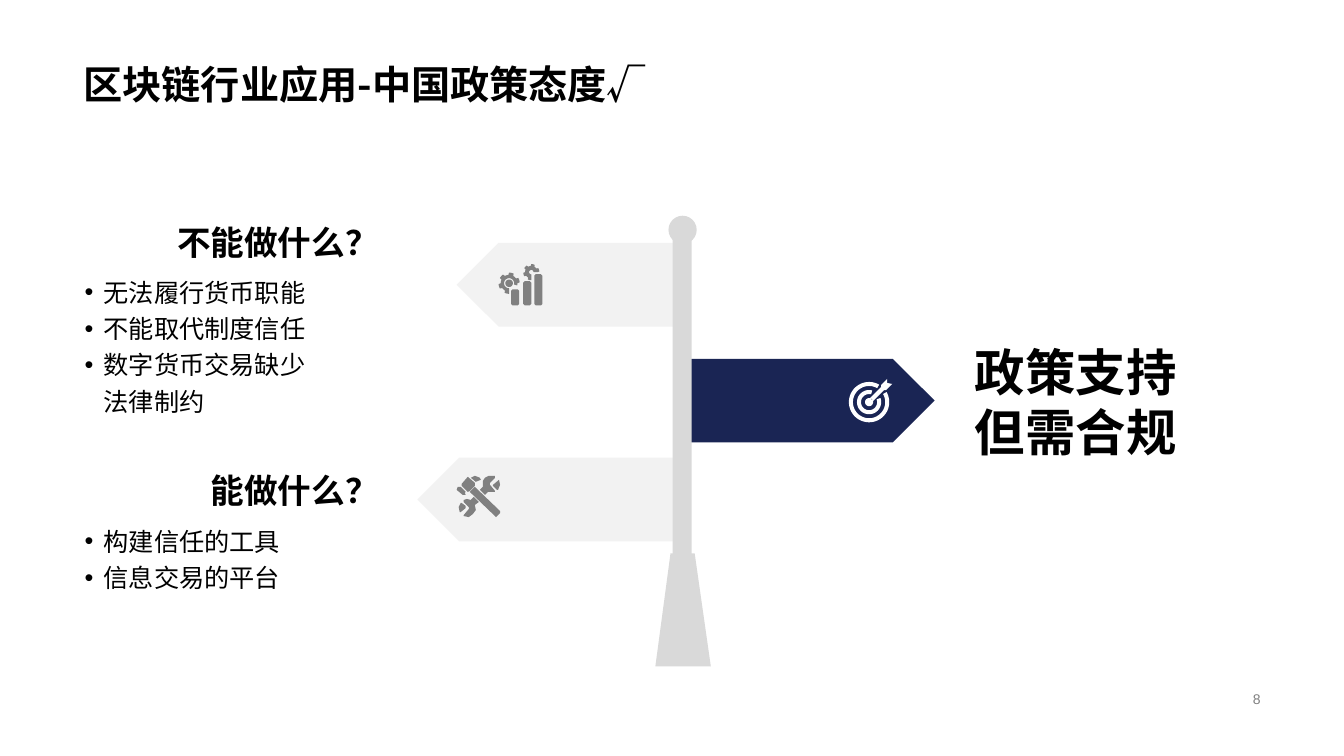
from dataclasses import dataclass
from math import cos, radians, sin
from typing import NamedTuple

from lxml.etree import SubElement
from pptx import Presentation
from pptx.dml.color import RGBColor
from pptx.enum.lang import MSO_LANGUAGE_ID as Language
from pptx.enum.shapes import MSO_SHAPE as Preset
from pptx.enum.text import MSO_ANCHOR as Anchor, PP_ALIGN as Align
from pptx.oxml.ns import qn
from pptx.util import Inches, Pt

CELL = Inches(0.1)
COLUMNS, ROWS = 133.3, 75
BLACK, GRAY, WHITE = "000000", "808080", "FFFFFF"
PALE, POST, NAVY = "F2F2F2", "D9D9D9", "1A2554"
LATIN, CHINESE = "Arial", "Noto Sans CJK SC"
Contour = list[tuple[float, float]]


class Area(NamedTuple):
    column: float
    row: float
    width: float
    height: float


class Span(NamedTuple):
    text: str
    font: str = LATIN


@dataclass
class Block:
    preset: Preset
    area: Area
    color: str
    flipped: bool = False


@dataclass
class Outline:
    contours: list[Contour]
    color: str


@dataclass
class Words:
    area: Area
    paragraphs: list[list[Span]]
    size: int
    color: str = BLACK
    bold: bool = False
    align: Align = Align.LEFT
    anchor: Anchor = Anchor.BOTTOM
    spacing: float = 1.0
    bulleted: bool = False


def cells(count: float) -> int:
    return round(count * CELL)


def paint(shape, color: str) -> None:
    shape.shadow.inherit = False
    shape.fill.solid()
    shape.fill.fore_color.rgb = RGBColor.from_string(color)
    shape.line.fill.background()


def draw_block(page, block: Block) -> None:
    shape = page.shapes.add_shape(block.preset, *map(cells, block.area))
    paint(shape, block.color)
    if block.flipped:
        shape._element.spPr.find(qn("a:xfrm")).set("flipH", "1")


def draw_outline(page, outline: Outline) -> None:
    contours = [[(cells(x), cells(y)) for x, y in contour] for contour in outline.contours]
    builder = page.shapes.build_freeform(*contours[0][0])
    for contour in contours:
        builder.move_to(*contour[0])
        builder.add_line_segments(contour[1:], close=True)
    paint(builder.convert_to_shape(), outline.color)


def add_bullet(para) -> None:
    properties = para._p.get_or_add_pPr()
    properties.set("marL", str(Inches(0.19)))
    properties.set("indent", str(-Inches(0.19)))
    SubElement(properties, qn("a:buFont")).set("typeface", LATIN)
    SubElement(properties, qn("a:buChar")).set("char", "•")


def draw_words(page, words: Words) -> None:
    box = page.shapes.add_textbox(*map(cells, words.area))
    frame = box.text_frame
    frame.word_wrap = True
    frame.vertical_anchor = words.anchor
    for index, spans in enumerate(words.paragraphs):
        para = frame.add_paragraph() if index else frame.paragraphs[0]
        para.alignment = words.align
        para.line_spacing = words.spacing
        if words.bulleted:
            add_bullet(para)
        para.font.size = Pt(words.size)
        para.font.bold = words.bold
        para.font.color.rgb = RGBColor.from_string(words.color)
        para.font.language_id = Language.SIMPLIFIED_CHINESE
        if len(spans) == 1:
            para.font.name = spans[0].font
        for span in spans:
            run = para.add_run()
            run.text = span.text
            if len(spans) > 1:
                run.font.name = span.font
            if span.font == CHINESE:
                SubElement(run._r.get_or_add_rPr(), qn("a:ea")).set("typeface", CHINESE)


def arc(x: float, y: float, radius: float, start: int, end: int, tooth: float = 0) -> Contour:
    points = []
    for angle in range(start, end + 1, 5):
        reach = radius - (tooth if angle % 60 < 30 else 0)
        points.append((x + reach * cos(radians(angle)), y + reach * sin(radians(angle))))
    return points


def ring(x: float, y: float, outer: float, inner: float, start: int, end: int,
         tooth: float = 0) -> Contour:
    return arc(x, y, outer, start, end, tooth) + arc(x, y, inner, start, end)[::-1]


def bar(column: float, top: float, width: float = 0.8, bottom: float = 30.3) -> Contour:
    right, cut = column + width, 0.15
    return [(column + cut, top), (right - cut, top), (right, top + cut), (right, bottom - cut),
            (right - cut, bottom), (column + cut, bottom), (column, bottom - cut),
            (column, top + cut)]


TOOLS = [
    [(45.8, 49.9), (46.2, 50.2), (46.2, 50.4), (45.7, 50.8), (45.6, 50.8), (45.5, 50.3),
     (45.7, 49.9)],
    [(47, 49.3), (47.5, 49.8), (47.1, 50.1), (47.2, 50.6), (46.9, 51), (46.5, 51.3), (46, 51.2),
     (46, 51.1), (46.5, 50.5), (46.5, 50.3), (46, 49.8), (46, 49.6), (46.3, 49.5), (46.7, 49.6)],
    [(47.1, 48.3), (49.6, 50.7), (49.6, 50.9), (49.2, 51.3), (49.1, 51.2), (46.6, 48.8)],
    [(45.7, 48.3), (46.2, 48.8), (46.1, 48.9), (46.2, 49.1), (45.9, 49.1), (45.3, 48.6),
     (45.4, 48.3)],
    [(49.5, 47.6), (49.6, 48.1), (49.4, 48.6), (49.3, 48.6), (48.9, 48.2), (48.9, 48.1)],
    [(46.4, 47.3), (47.1, 47.9), (47.1, 48.2), (46.6, 48.7), (46.4, 48.8), (45.8, 48.2),
     (45.8, 48)],
    [(47.1, 47.2), (47.6, 47.4), (47.7, 47.6), (47.2, 47.8), (46.7, 47.4)],
    [(48.9, 47.2), (49.1, 47.2), (49.1, 47.4), (48.6, 47.9), (48.6, 48.1), (49.1, 48.7),
     (49.1, 48.8), (48.4, 48.8), (48.1, 49.1), (47.6, 48.6), (47.9, 48.3), (47.9, 47.7),
     (48.1, 47.4), (48.5, 47.2)],
]
GEARS_AND_BARS = [
    ring(50.5, 28.1, 1.05, 0.5, 90, 375, 0.22), arc(50.5, 28.1, 0.37, 0, 355),
    ring(52.7, 27, 0.8, 0.22, 90, 360, 0.18),
    bar(50.7, 28.7), bar(51.9, 27.9), bar(53, 27.2),
]
DART = [(88, 37.6), (88, 38), (88.5, 38.1), (87.9, 38.7), (87.7, 38.7), (86.6, 39.8),
        (86.3, 39.5), (87.4, 38.4), (87.4, 38.2)]
TARGET = [ring(86.2, 39.9, 2, 1.6, -30, 300), ring(86.2, 39.9, 1.2, 0.8, -20, 285),
          arc(86.2, 39.9, 0.4, 0, 355), DART]

SIGNPOST = [
    Block(Preset.PENTAGON, Area(41.4, 45.4, 26, 8.3), PALE, flipped=True),
    Block(Preset.PENTAGON, Area(68.4, 35.6, 24.3, 8.3), NAVY),
    Block(Preset.PENTAGON, Area(45.3, 24.1, 21.8, 8.3), PALE, flipped=True),
    Block(Preset.RECTANGLE, Area(66.7, 23.3, 1.9, 32.3), POST),
    Block(Preset.OVAL, Area(66.3, 21.4, 2.8, 2.8), POST),
]
OUTLINES = [
    Outline([[(68.9, 54.9), (70.5, 66.1), (65, 66.1), (66.5, 54.9)]], POST),
    Outline(TOOLS, GRAY),
    Outline(GEARS_AND_BARS, GRAY),
    Outline(TARGET, WHITE),
]
TEXTS = [
    Words(Area(7.3, 0, 118.7, 11.2),
          [[Span("区块链行业应用-中国政策态度", CHINESE), Span("√")]], 28, bold=True, spacing=0.9),
    Words(Area(94.2, 68.2, 31.8, 2.3), [[Span("8")]], 10, GRAY, align=Align.RIGHT,
          anchor=Anchor.MIDDLE),
    Words(Area(5.3, 19, 34, 7.5), [[Span("不能做什么？ ")]], 24, bold=True, align=Align.RIGHT),
    Words(Area(7.4, 26.4, 25, 15.5),
          [[Span("无法履行货币职能")], [Span("不能取代制度信任")], [Span("数字货币交易缺少法律制约")]],
          18, anchor=Anchor.TOP, spacing=1.2, bulleted=True),
    Words(Area(6.9, 43.9, 32.4, 7.2), [[Span("能做什么？ ")]], 24, bold=True, align=Align.RIGHT),
    Words(Area(7.4, 51.1, 32.4, 7.9), [[Span("构建信任的工具")], [Span("信息交易的平台")]],
          18, anchor=Anchor.TOP, spacing=1.2, bulleted=True),
    Words(Area(95.7, 33.2, 28.7, 13.1), [[Span("政策支持")], [Span("但需合规")]], 36, bold=True),
]


def main() -> None:
    deck = Presentation()
    deck.slide_width, deck.slide_height = cells(COLUMNS), cells(ROWS)
    page = deck.slides.add_slide(deck.slide_layouts[6])
    for block in SIGNPOST:
        draw_block(page, block)
    for outline in OUTLINES:
        draw_outline(page, outline)
    for words in TEXTS:
        draw_words(page, words)
    deck.save("out.pptx")


if __name__ == "__main__":
    main()
